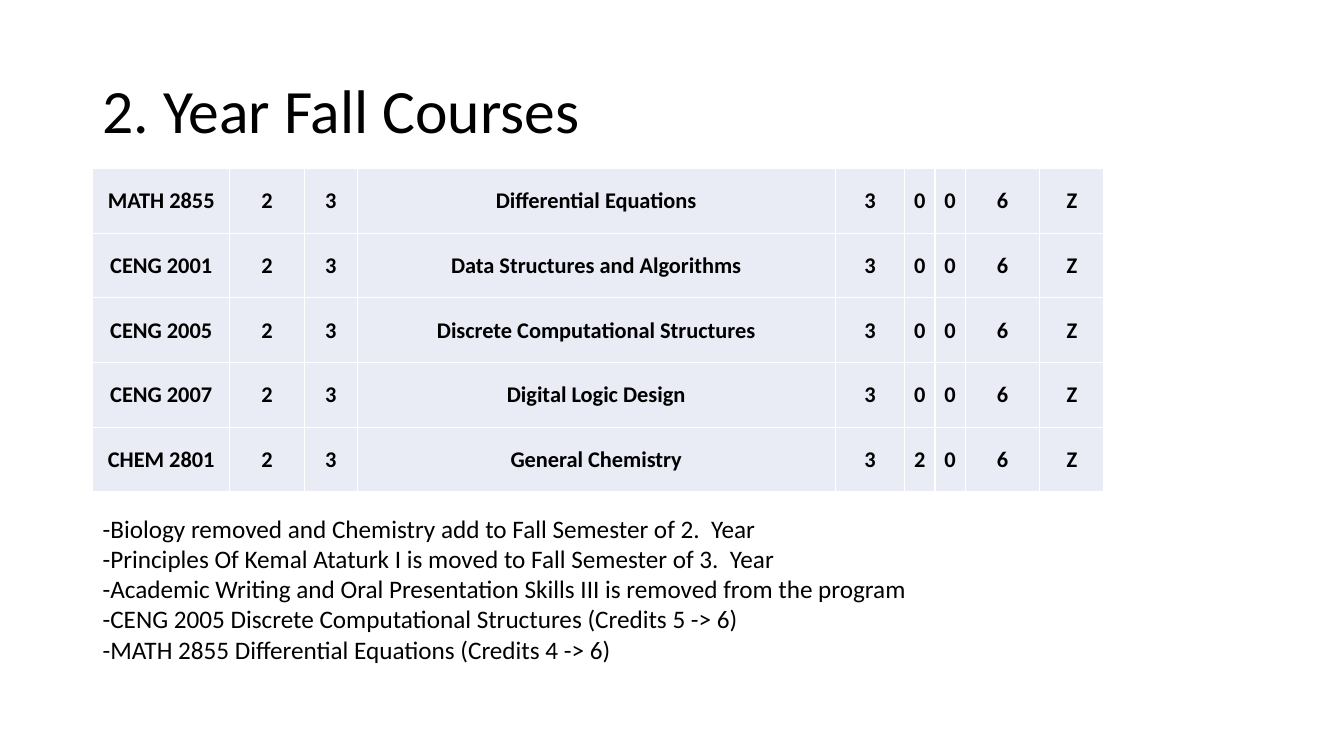
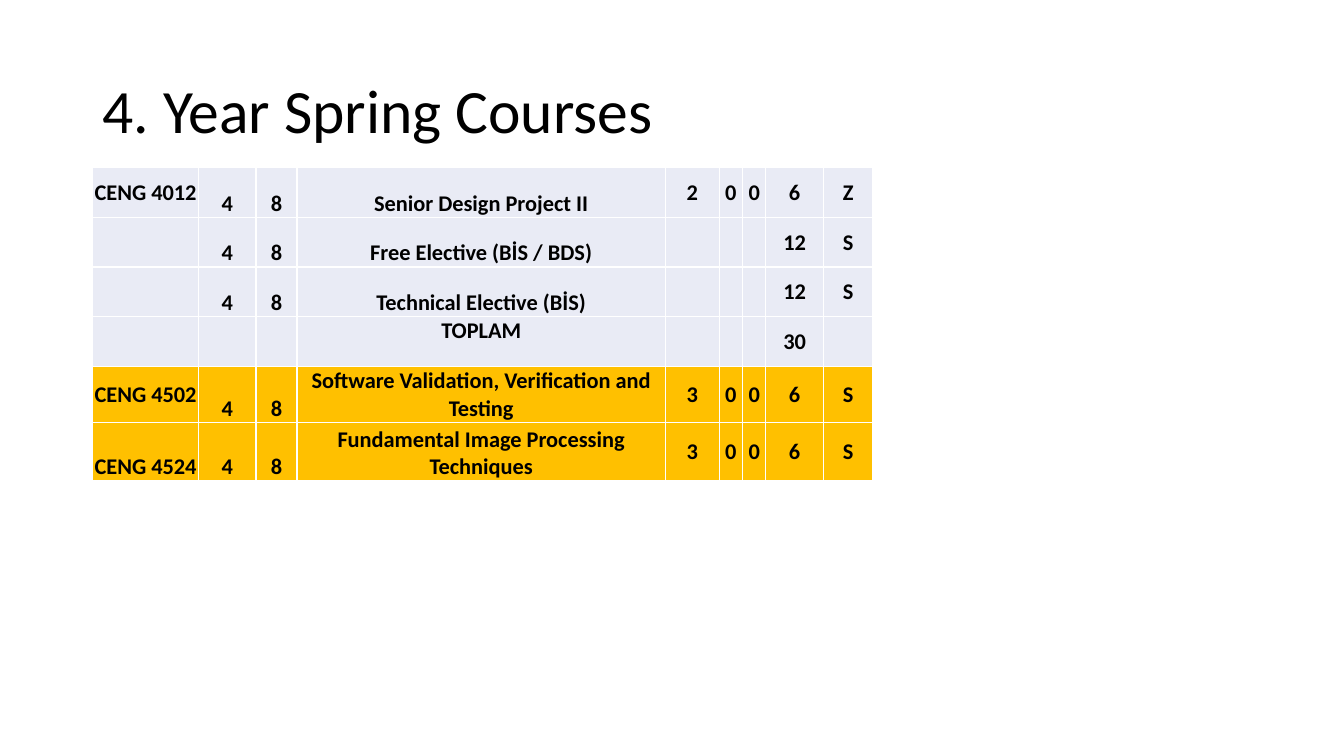
"""Build two curriculum slides with course tables."""
from pptx import Presentation
from pptx.dml.color import RGBColor
from pptx.enum.text import MSO_ANCHOR, PP_ALIGN
from pptx.oxml import parse_xml
from pptx.oxml.ns import nsdecls
from pptx.util import Pt

TOP, MIDDLE, BOTTOM = MSO_ANCHOR.TOP, MSO_ANCHOR.MIDDLE, MSO_ANCHOR.BOTTOM
LEFT, CENTER = PP_ALIGN.LEFT, PP_ALIGN.CENTER
ANCHORS = {"t": TOP, "m": MIDDLE, "b": BOTTOM}

THEME = {
    "font": "Calibri",
    "text": "000000",
    "plain": "E9EBF5",
    "highlight": "FFC000",
    "border": "FFFFFF",
    "border_width": 1,
    "title_size": 44,
    "cell_size": 16,
    "note_size": 18,
}
SLIDE_SIZE = (960, 540)
MARGIN_LEFT = 66.24
TITLE_BOX = (MARGIN_LEFT, 28.8, 828, 104.4)
NOTES_BOX = (MARGIN_LEFT, 362.88, 846.72, 138.24)
CELL_MARGINS = {"margin_left": 0.6, "margin_top": 0.6, "margin_right": 0.6, "margin_bottom": 0}

ALL_MIDDLE = "mmmmmmmmm"
LOW_NAMES = "mbbbmmmmm"
LOW_CODE = "bbbbmmmmm"
TOP_NAME = "mmmtmmmmm"

SLIDES = [
    {
        "title": "2. Year Fall Courses",
        "table_top": 120.4,
        "columns": (97.9, 53.1, 38, 341.4, 49.6, 21.7, 21.7, 53.1, 46),
        "rows": [
            (46.2, "plain", ALL_MIDDLE, ("MATH 2855", "2", "3", "Differential Equations", "3", "0", "0", "6", "Z")),
            (46.2, "plain", ALL_MIDDLE, ("CENG 2001", "2", "3", "Data Structures and Algorithms", "3", "0", "0", "6", "Z")),
            (46.2, "plain", ALL_MIDDLE, ("CENG 2005", "2", "3", "Discrete Computational Structures", "3", "0", "0", "6", "Z")),
            (46.2, "plain", ALL_MIDDLE, ("CENG 2007", "2", "3", "Digital Logic Design", "3", "0", "0", "6", "Z")),
            (46.2, "plain", ALL_MIDDLE, ("CHEM 2801", "2", "3", "General Chemistry", "3", "2", "0", "6", "Z")),
        ],
        "notes": [
            "-Biology removed and Chemistry add to Fall Semester of 2.  Year",
            "-Principles Of Kemal Ataturk I is moved to Fall Semester of 3.  Year",
            "-Academic Writing and Oral Presentation Skills III is removed from the program",
            "-CENG 2005 Discrete Computational Structures (Credits 5 -> 6)",
            "-MATH 2855 Differential Equations (Credits 4 -> 6)",
        ],
    },
    {
        "title": "4. Year Spring Courses",
        "table_top": 119.5,
        "columns": (75.6, 41, 29.3, 263.3, 38.3, 16.7, 16.7, 41, 35.6),
        "rows": [
            (35.6, "plain", LOW_NAMES, ("CENG 4012", "4", "8", "Senior Design Project II", "2", "0", "0", "6", "Z")),
            (35.6, "plain", LOW_NAMES, ("", "4", "8", "Free Elective (BİS / BDS)", "", "", "", "12", "S")),
            (35.6, "plain", LOW_NAMES, ("", "4", "8", "Technical Elective (BİS)", "", "", "", "12", "S")),
            (35.6, "plain", TOP_NAME, ("", "", "", "TOPLAM", "", "", "", "30", "")),
            (39.8, "highlight", LOW_NAMES, ("CENG 4502", "4", "8", "Software Validation, Verification and Testing", "3", "0", "0", "6", "S")),
            (42, "highlight", LOW_CODE, ("CENG 4524", "4", "8", "Fundamental Image Processing Techniques", "3", "0", "0", "6", "S")),
        ],
        "notes": [],
    },
]


def set_attributes(target, values):
    for name, value in values.items():
        setattr(target, name, value)


def write_lines(frame, lines, size, bold=False, alignment=LEFT, line_spacing=1.0):
    frame.word_wrap = True
    for index, line in enumerate(lines):
        paragraph = frame.add_paragraph() if index else frame.paragraphs[0]
        set_attributes(paragraph, {"alignment": alignment, "line_spacing": line_spacing})
        if line:
            run = paragraph.add_run()
            run.text = line
            set_attributes(run.font, {"name": THEME["font"], "size": Pt(size), "bold": bold})
            run.font.color.rgb = RGBColor.from_string(THEME["text"])


def add_text(slide, box, lines, size, anchor=TOP, line_spacing=1.0):
    frame = slide.shapes.add_textbox(*map(Pt, box)).text_frame
    frame.vertical_anchor = anchor
    write_lines(frame, lines, size, line_spacing=line_spacing)


def add_borders(cell):
    properties = cell._tc.get_or_add_tcPr()
    for index, side in enumerate("LRTB"):
        properties.insert(index, parse_xml(
            f'<a:ln{side} {nsdecls("a")} w="{Pt(THEME["border_width"])}"><a:solidFill>'
            f'<a:srgbClr val="{THEME["border"]}"/></a:solidFill></a:ln{side}>'))


def add_course_table(slide, top, widths, rows):
    heights = [row[0] for row in rows]
    box = (MARGIN_LEFT, top, sum(widths), sum(heights))
    table = slide.shapes.add_table(len(rows), len(widths), *map(Pt, box)).table
    set_attributes(table, {"first_row": False, "horz_banding": False})
    for column, width in zip(table.columns, widths):
        column.width = Pt(width)
    for table_row, (height, fill, anchors, texts) in zip(table.rows, rows):
        table_row.height = Pt(height)
        for cell, anchor, text in zip(table_row.cells, anchors, texts):
            set_attributes(cell, {name: Pt(value) for name, value in CELL_MARGINS.items()})
            cell.vertical_anchor = ANCHORS[anchor]
            cell.fill.solid()
            cell.fill.fore_color.rgb = RGBColor.from_string(THEME[fill])
            add_borders(cell)
            write_lines(cell.text_frame, [text], THEME["cell_size"], True, CENTER)


def build():
    presentation = Presentation()
    width, height = map(Pt, SLIDE_SIZE)
    set_attributes(presentation, {"slide_width": width, "slide_height": height})
    for content in SLIDES:
        slide = presentation.slides.add_slide(presentation.slide_layouts[6])
        add_text(slide, TITLE_BOX, [content["title"]], THEME["title_size"], MIDDLE, 0.9)
        if content["notes"]:
            add_text(slide, NOTES_BOX, content["notes"], THEME["note_size"])
        add_course_table(slide, content["table_top"], content["columns"], content["rows"])
    presentation.save("out.pptx")


build()
